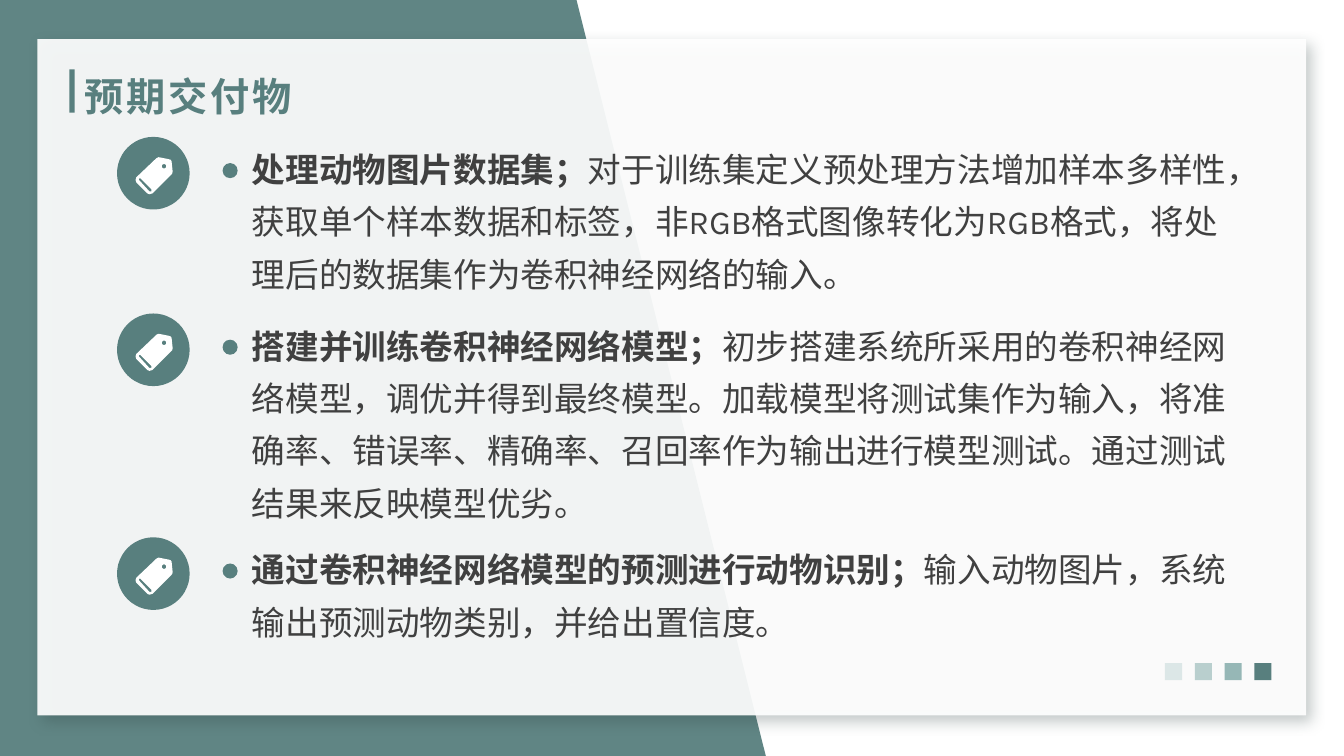
import math

from lxml import etree
from pptx import Presentation
from pptx import util as u
from pptx.dml.color import RGBColor
from pptx.enum import lang, shapes, text
from pptx.oxml import ns

TEAL = RGBColor(0x58, 0x7F, 0x7E)
WHITE = RGBColor(0xFF, 0xFF, 0xFF)
INK = RGBColor(0x40, 0x40, 0x40)
SHADOW = RGBColor(0x2C, 0x40, 0x3F)
SQUARES = [RGBColor(0xDC, 0xE7, 0xE7), RGBColor(0xB9, 0xCF, 0xCE),
           RGBColor(0x96, 0xB7, 0xB6), TEAL]
RECT = shapes.MSO_SHAPE.RECTANGLE
OVAL = shapes.MSO_SHAPE.OVAL
WIDTH, HEIGHT = 33.87, 19.05

TITLE_STYLE = {"name": "Roboto", "size": u.Pt(28), "bold": True}
LEAD_STYLE = {"name": "Karla", "size": u.Pt(24), "bold": True}
BODY_STYLE = {**LEAD_STYLE, "bold": False}

# Tag icon contours, in hundredths of an inch
TAG_UNIT = u.Cm(0.0254)
TAG_BODY = [(37, 14), (36, 4), (35, 2.6), (33, 2), (23, 0), (21, 1), (1, 20),
            (0.2, 22.5), (1, 25), (12, 36), (14, 36.8), (17, 36), (36, 17), (36.8, 16)]
TAG_SLOT = [(16, 34), (14, 34), (4, 23), (3.4, 22), (4, 21), (5, 21), (16, 32)]
TAG_HOLE = [(28.5 + 2.2 * math.cos(math.radians(angle)),
             9 + 2.2 * math.sin(math.radians(angle))) for angle in range(0, 360, 15)]

# Top, height, lead and body of each deliverable
DELIVERABLES = [
    (3.45, 3.99, "处理动物图片数据集；",
     "对于训练集定义预处理方法增加样本多样性，获取单个样本数据和标签，"
     "非RGB格式图像转化为RGB格式，将处理后的数据集作为卷积神经网络的输入。"),
    (7.9, 5.33, "搭建并训练卷积神经网络模型；",
     "初步搭建系统所采用的卷积神经网络模型，调优并得到最终模型。"
     "加载模型将测试集作为输入，将准确率、错误率、精确率、召回率作为输出进行模型测试。"
     "通过测试结果来反映模型优劣。"),
    (13.54, 2.67, "通过卷积神经网络模型的预测进行动物识别；",
     "输入动物图片，系统输出预测动物类别，并给出置信度。"),
]


def paint(shape, color, opacity=100):
    shape.shadow.inherit = False
    shape.line.fill.background()
    shape.fill.solid()
    shape.fill.fore_color.rgb = color
    if opacity < 100:
        clr = shape._element.spPr.find(".//" + ns.qn("a:srgbClr"))
        etree.SubElement(clr, ns.qn("a:alpha")).set("val", str(opacity * 1000))
    return shape


def add_block(page, kind, left, top, width, height, color, opacity=100):
    shape = page.shapes.add_shape(kind, u.Cm(left), u.Cm(top), u.Cm(width), u.Cm(height))
    return paint(shape, color, opacity)


def add_outline(page, contours, left, top, unit, color, opacity=100):
    grain = 100
    fine = [[(x * grain, y * grain) for x, y in points] for points in contours]
    builder = page.shapes.build_freeform(*fine[0][0], scale=unit / grain)
    builder.add_line_segments(fine[0][1:], close=True)
    for points in fine[1:]:
        builder.move_to(*points[0])
        builder.add_line_segments(points[1:], close=True)
    return paint(builder.convert_to_shape(u.Cm(left), u.Cm(top)), color, opacity)


def add_shadow(shape):
    effects = shape._element.spPr.find(ns.qn("a:effectLst"))
    outer = etree.SubElement(effects, ns.qn("a:outerShdw"), blurRad=str(u.Pt(10)),
                             dist=str(u.Pt(6)), dir=str(45 * 60000),
                             algn="tl", rotWithShape="0")
    clr = etree.SubElement(outer, ns.qn("a:srgbClr"), val=str(SHADOW))
    etree.SubElement(clr, ns.qn("a:alpha"), val="30000")


def add_text(page, left, top, width, height, spans, color, frame_format):
    box = page.shapes.add_textbox(u.Cm(left), u.Cm(top), u.Cm(width), u.Cm(height))
    for key, value in frame_format.items():
        setattr(box.text_frame, key, value)
    para = box.text_frame.paragraphs[0]
    for words, style in spans:
        span = para.add_run()
        span.text = words
        span.font.color.rgb = color
        span.font.language_id = lang.MSO_LANGUAGE_ID.SIMPLIFIED_CHINESE
        for key, value in style.items():
            setattr(span.font, key, value)
    return para


def add_backdrop(page):
    add_block(page, RECT, 7.72, 0, WIDTH - 7.72, HEIGHT, WHITE, 95)
    slant = [(0, 0), (14.53, 0), (19.3, HEIGHT), (0, HEIGHT)]
    add_outline(page, [slant], 0, 0, u.Cm(1), TEAL, 95)
    add_shadow(add_block(page, RECT, 0.94, 0.99, 31.98, 17.04, WHITE, 92))
    for index, color in enumerate(SQUARES):
        add_block(page, RECT, 29.36 + 0.75 * index, 16.71, 0.43, 0.43, color)


def add_title(page, words):
    add_block(page, RECT, 1.75, 1.75, 0.13, 1.09, TEAL)
    para = add_text(page, 1.88, 1.8, 13.36, 1.22, [(words, TITLE_STYLE)], TEAL,
                    {"word_wrap": True, "vertical_anchor": text.MSO_ANCHOR.MIDDLE})
    para.runs[0]._r.get_or_add_rPr().set("spc", "200")


def add_deliverable(page, top, height, lead, body):
    add_block(page, OVAL, 2.95, top, 1.83, 1.83, TEAL)
    add_outline(page, [TAG_BODY, TAG_SLOT, TAG_HOLE], 3.41, top + 0.51, TAG_UNIT, WHITE)
    add_block(page, OVAL, 5.61, top + 0.66, 0.38, 0.38, TEAL)
    margins = dict.fromkeys(
        ("margin_left", "margin_top", "margin_right", "margin_bottom"), 0)
    para = add_text(page, 6.35, top, 24.97, height,
                    [(lead, LEAD_STYLE), (body, BODY_STYLE)], INK,
                    {**margins, "word_wrap": True,
                     "auto_size": text.MSO_AUTO_SIZE.SHAPE_TO_FIT_TEXT})
    para.line_spacing = 1.3


def main():
    deck = Presentation()
    deck.slide_width, deck.slide_height = u.Cm(WIDTH), u.Cm(HEIGHT)
    page = deck.slides.add_slide(deck.slide_layouts[6])
    add_backdrop(page)
    add_title(page, "预期交付物")
    for deliverable in DELIVERABLES:
        add_deliverable(page, *deliverable)
    deck.save("out.pptx")


if __name__ == "__main__":
    main()
